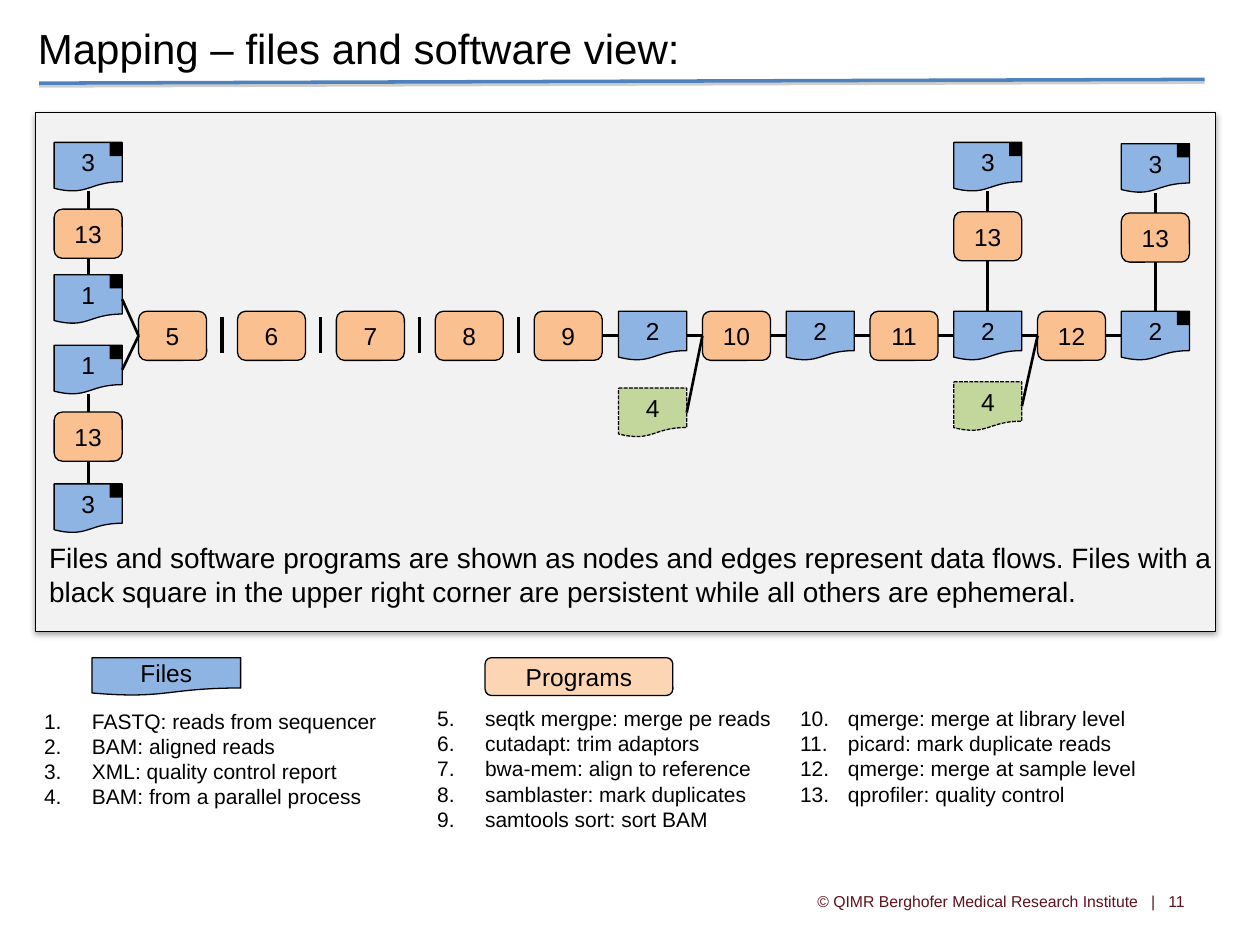
from lxml.etree import SubElement
from pptx import Presentation
from pptx.dml.color import RGBColor
from pptx.enum.dml import MSO_LINE
from pptx.enum.shapes import MSO_CONNECTOR, MSO_SHAPE
from pptx.enum.text import MSO_ANCHOR, MSO_AUTO_SIZE, PP_ALIGN
from pptx.oxml.ns import qn
from pptx.util import Inches, Pt

BLACK = RGBColor(0x00, 0x00, 0x00)
GREY = RGBColor(0x80, 0x80, 0x80)
PANEL = RGBColor(0xF2, 0xF2, 0xF2)
BLUE = RGBColor(0x8E, 0xB4, 0xE3)
GREEN = RGBColor(0xC3, 0xD6, 0x9B)
ORANGE = RGBColor(0xFA, 0xC0, 0x90)
PEACH = RGBColor(0xFC, 0xD5, 0xB5)
RULE = RGBColor(0x4F, 0x81, 0xBD)
MAROON = RGBColor(0x60, 0x11, 0x1D)
FILE, PROGRAM = MSO_SHAPE.FLOWCHART_DOCUMENT, MSO_SHAPE.ROUNDED_RECTANGLE
TOP, LEFT, BOTTOM, RIGHT = range(4)


def write(sp, lines, size=14, color=BLACK, align=PP_ALIGN.LEFT,
          anchor=MSO_ANCHOR.TOP, start=None):
    """Fill a shape with paragraphs, numbered from start when it is given."""
    tf = sp.text_frame
    tf.word_wrap, tf.auto_size, tf.vertical_anchor = True, MSO_AUTO_SIZE.NONE, anchor
    for i, line in enumerate(lines):
        p = tf.paragraphs[0] if i == 0 else tf.add_paragraph()
        p.alignment, p.space_before = align, Pt(0)
        pPr = p._p.get_or_add_pPr()
        indent = Inches(0.38) if start else 0
        pPr.set("marL", str(indent))
        pPr.set("indent", str(-indent))
        if start:
            SubElement(pPr, qn("a:buFont"), typeface="+mj-lt")
            SubElement(pPr, qn("a:buAutoNum"), type="arabicPeriod", startAt=str(start))
        else:
            SubElement(pPr, qn("a:buNone"))
        r = p.add_run()
        r.text = line
        r.font.name, r.font.size, r.font.bold = "Arial", Pt(size), False
        r.font.color.rgb = color


def block(kind, x, y, w, h, fill, text=None, line=0.75):
    sp = s.shapes.add_shape(kind, Inches(x), Inches(y), Inches(w), Inches(h))
    sp.shadow.inherit = False
    sp.fill.solid()
    sp.fill.fore_color.rgb = fill
    sp.line.color.rgb, sp.line.width = BLACK, Pt(line)
    if text:
        write(sp, [text], align=PP_ALIGN.CENTER, anchor=MSO_ANCHOR.MIDDLE)
    return sp


prs = Presentation()
prs.slide_width, prs.slide_height = Inches(10), Inches(7.5)
s = prs.slides.add_slide(prs.slide_layouts.get_by_name("Comparison"))

# Panel behind everything else
panel = block(MSO_SHAPE.RECTANGLE, 0.28, 0.89, 9.37, 4.12, PANEL, line=0.5)
panel.element.getparent().insert(2, panel.element)

# Title, caption and the three numbered lists
texts = [
    (0.2, 0.13, 9.21, 0.5, 24, None, ["Mapping – files and software view:"]),
    (0.29, 4.24, 9.43, 0.64, 16, None, [
        "Files and software programs are shown as nodes and edges represent data "
        "flows. Files with a black square in the upper right corner are persistent "
        "while all others are ephemeral."]),
    (0.25, 5.57, 2.95, 0.91, 12, 1, [
        "FASTQ: reads from sequencer", "BAM: aligned reads",
        "XML: quality control report", "BAM: from a parallel process"]),
    (3.37, 5.55, 2.95, 1.11, 12, 5, [
        "seqtk mergpe: merge pe reads", "cutadapt: trim adaptors",
        "bwa-mem: align to reference", "samblaster: mark duplicates",
        "samtools sort: sort BAM"]),
    (6.25, 5.55, 2.95, 0.91, 12, 10, [
        "qmerge: merge at library level", "picard: mark duplicate reads",
        "qmerge: merge at sample level", "qprofiler: quality control"]),
]
for idx, (x, y, w, h, size, start, lines) in enumerate(texts):
    sp = next(ph for ph in s.placeholders if ph.placeholder_format.idx == idx)
    sp.left, sp.top, sp.width, sp.height = (Inches(v) for v in (x, y, w, h))
    write(sp, lines, size=size, start=start)

footer = s.shapes.add_textbox(Inches(3.42), Inches(6.95), Inches(6.08), Inches(0.4))
write(footer, ["© QIMR Berghofer Medical Research Institute\u00a0\u00a0 |\u00a0\u00a0 11"],
      size=9, color=MAROON, align=PP_ALIGN.RIGHT, anchor=MSO_ANCHOR.MIDDLE)

# Legend heads
block(FILE, 0.73, 5.22, 1.18, 0.3, BLUE, "Files")
block(PROGRAM, 3.85, 5.22, 1.49, 0.3, PEACH, "Programs")

# Nodes: name -> (x, y, number); numbers 1-4 are files, 5-13 programs
W, H, ROW = 0.54, 0.39, 2.47
STEP, START = 0.785, 1.1
tail = [4.91 + 0.665 * i for i in range(7)]
layout = {f"step{n}": (START + STEP * i, ROW, n) for i, n in enumerate(range(5, 10))}
layout |= {f"tail{i}": (x, ROW, n)
           for i, (x, n) in enumerate(zip(tail, (2, 10, 2, 11, 2, 12, 2)))}
layout |= {f"left{i}": (0.43, y, n) for i, (y, n) in enumerate(
    [(1.13, 3), (1.66, 13), (2.18, 1), (2.74, 1), (3.27, 13), (3.84, 3)])}
layout |= {"report4": (tail[4], 1.13, 3), "check4": (tail[4], 1.68, 13),
           "report6": (tail[6], 1.14, 3), "check6": (tail[6], 1.69, 13),
           "other0": (tail[0], 3.08, 4), "other4": (tail[4], 3.03, 4)}
persistent = {"left0", "left2", "left3", "left5", "report4", "report6", "tail6"}
nodes = {}
for name, (x, y, n) in layout.items():
    fill = ORANGE if n > 4 else GREEN if n == 4 else BLUE
    nodes[name] = block(PROGRAM if n > 4 else FILE, x, y, W, H, fill, str(n))
    if n == 4:
        nodes[name].line.dash_style = MSO_LINE.SQUARE_DOT
    if name in persistent:
        mark = block(MSO_SHAPE.RECTANGLE, x + W - 0.1, y, 0.1, 0.11, BLACK)
        mark.line.fill.background()

# Data flows between nodes, then free lines: step separators and the title rule
chain = ["step9"] + [f"tail{i}" for i in range(7)]
across = list(zip(chain, chain[1:])) + [
    ("left2", "step5"), ("left3", "step5"), ("other0", "tail1"), ("other4", "tail5")]
down = [("left0", "left1"), ("left1", "left2"), ("left3", "left4"), ("left4", "left5")]
for i in (4, 6):
    down += [(f"report{i}", f"check{i}"), (f"check{i}", f"tail{i}")]
flows = [(a, RIGHT, b, LEFT) for a, b in across] + [(a, BOTTOM, b, TOP) for a, b in down]
lines = [((0, 0, 0, 0), BLACK, 1.5, flow) for flow in flows]
for i in range(4):
    x = START + W + 0.12 + STEP * i
    lines.append(((x, 2.52, x, 2.8), BLACK, 2, None))
lines.append(((0.31, 0.66, 9.56, 0.63), RULE, 2, None))
for ends, color, width, flow in lines:
    c = s.shapes.add_connector(MSO_CONNECTOR.STRAIGHT, *(Inches(v) for v in ends))
    c.line.color.rgb, c.line.width = color, Pt(width)
    SubElement(c.element.spPr, qn("a:effectLst"))
    if flow:
        a, a_site, b, b_site = flow
        c.begin_connect(nodes[a], a_site)
        c.end_connect(nodes[b], b_site)
rule = c

# Soft shadows below the panel and the rule
for sp, color, alpha, blur, dist in ((panel, BLACK, 35, 3.1, 1.8),
                                     (rule, GREY, 38, 0, 1.6)):
    shadow = SubElement(sp.element.spPr.find(qn("a:effectLst")), qn("a:outerShdw"),
                        blurRad=str(Pt(blur)), dist=str(Pt(dist)),
                        dir="5400000", rotWithShape="0")
    clr = SubElement(shadow, qn("a:srgbClr"), val=str(color))
    SubElement(clr, qn("a:alpha"), val=str(alpha * 1000))

prs.save("out.pptx")
